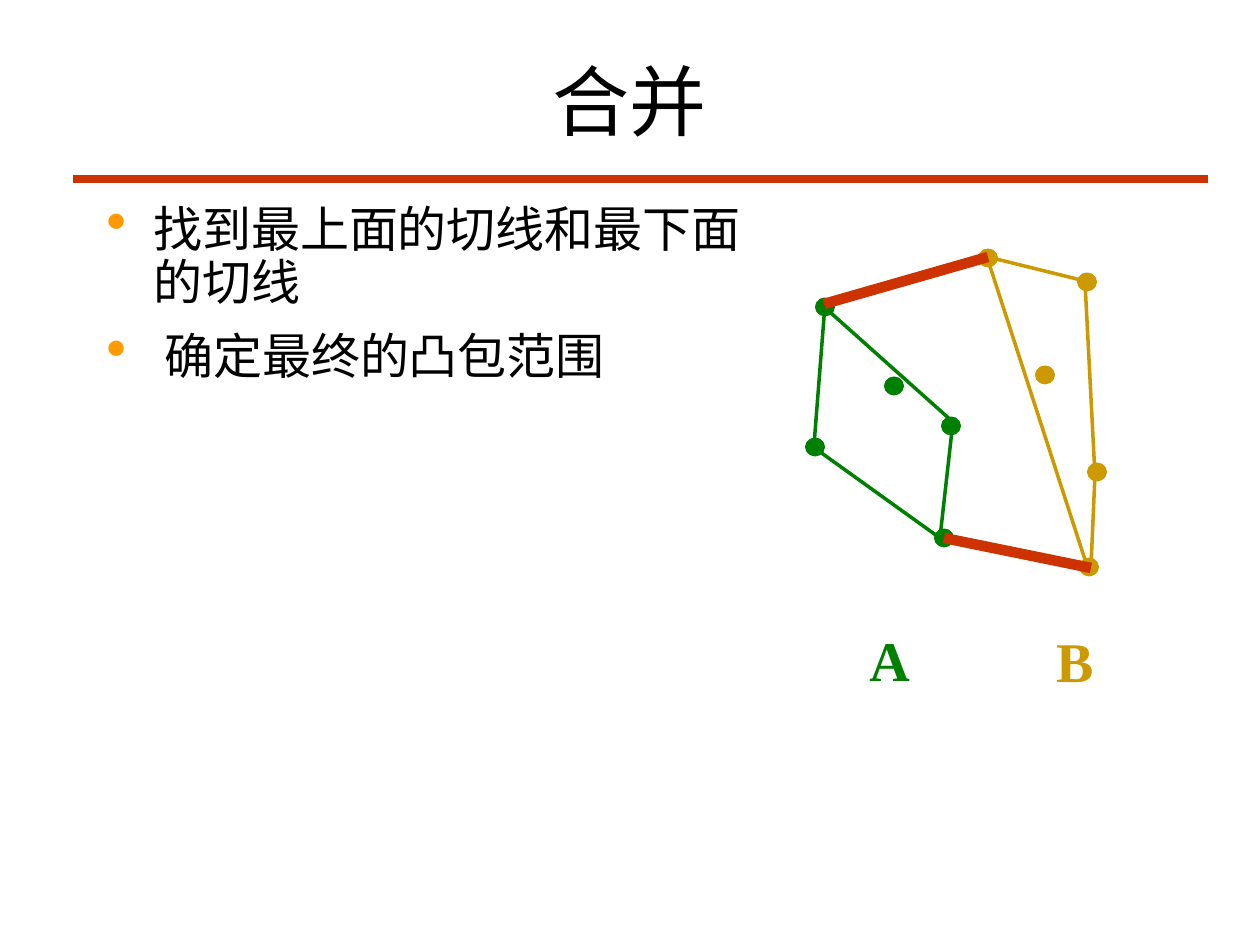
from dataclasses import dataclass

from lxml import etree
from pptx import Presentation
from pptx.dml.color import RGBColor
from pptx.enum import shapes, text
from pptx.oxml import ns
from pptx.util import Pt

SCALE = 914400 // 126  # EMU in one px


@dataclass(frozen=True)
class Theme:
    font: str = "Times New Roman"
    ink: str = "000000"
    accent: str = "CC3300"
    bullet: str = "FF9900"
    left_hull: str = "008000"
    right_hull: str = "CC9900"
    title_size: int = 44
    body_size: int = 28
    label_size: int = 32
    rule_width: float = 4.5
    dot_width: float = 2.25
    edge_width: float = 2
    tangent_width: float = 6


THEME = Theme()


def px(*lengths):
    return [length * SCALE for length in lengths]


def add_line(page, start, end, color, width):
    line = page.shapes.add_connector(
        shapes.MSO_CONNECTOR.STRAIGHT, *px(*start, *end))
    line.line.color.rgb = RGBColor.from_string(color)
    line.line.width = Pt(width)
    etree.SubElement(line._element.spPr, ns.qn("a:effectLst"))


def add_text_frame(page, box):
    frame = page.shapes.add_textbox(*px(*box)).text_frame
    frame.word_wrap = True
    return frame


def add_span(para, words, size, color, bold=False):
    span = para.add_run()
    span.text = words
    span.font.name = THEME.font
    span.font.size = Pt(size)
    span.font.bold = bold
    span.font.color.rgb = RGBColor.from_string(color)


def add_bullet(para, indent):
    props = para._p.get_or_add_pPr()
    props.set("marL", str(indent * SCALE))
    props.set("indent", str(-indent * SCALE))
    color = etree.SubElement(props, ns.qn("a:buClr"))
    etree.SubElement(color, ns.qn("a:srgbClr"), val=THEME.bullet)
    etree.SubElement(props, ns.qn("a:buSzPct"), val="120000")
    etree.SubElement(props, ns.qn("a:buChar"), char="•")


def title_region(page, box, words):
    left, top, width, height = box
    # Rule under the title
    rule_y = top + height
    add_line(page, (left - 21, rule_y), (left + width + 42, rule_y),
             THEME.accent, THEME.rule_width)
    # Title
    frame = add_text_frame(page, box)
    frame.vertical_anchor = text.MSO_ANCHOR.MIDDLE
    para = frame.paragraphs[0]
    para.alignment = text.PP_ALIGN.CENTER
    add_span(para, words, THEME.title_size, THEME.ink)


def body_region(page, box, items):
    frame = add_text_frame(page, box)
    for index, words in enumerate(items):
        para = frame.add_paragraph() if index else frame.paragraphs[0]
        add_bullet(para, 47)
        para.line_spacing = 0.9
        para.space_before = Pt(12 if index else 0)
        add_span(para, words, THEME.body_size, THEME.ink)


def hull_region(page, box, hulls, tangents):
    left, top = box[:2]

    def place(point):
        return left + point[0], top + point[1]

    # Points of both sets
    dot_width, dot_height = 16, 15
    for color, dots, edges, label, label_at in hulls:
        for dot in dots:
            x, y = place(dot)
            oval = page.shapes.add_shape(
                shapes.MSO_SHAPE.OVAL,
                *px(x - dot_width / 2, y - dot_height / 2),
                *px(dot_width, dot_height))
            oval.shadow.inherit = False
            oval.fill.solid()
            oval.fill.fore_color.rgb = RGBColor.from_string(color)
            oval.line.color.rgb = RGBColor.from_string(color)
            oval.line.width = Pt(THEME.dot_width)

    # Hull edges and set names
    for color, dots, edges, label, label_at in hulls:
        for start, end in edges:
            add_line(page, place(start), place(end), color, THEME.edge_width)
        frame = add_text_frame(page, (*place(label_at), 64, 79))
        frame.margin_top, frame.margin_bottom = px(12, 0)
        para = frame.paragraphs[0]
        para.alignment = text.PP_ALIGN.CENTER
        add_span(para, label, THEME.label_size, color, bold=True)

    # Upper and lower tangents
    for start, end in tangents:
        add_line(page, place(start), place(end),
                 THEME.accent, THEME.tangent_width)


def main():
    deck = Presentation()
    deck.slide_width, deck.slide_height = px(1260, 945)
    page = deck.slides.add_slide(deck.slide_layouts[6])

    title_region(page, (94, 21, 1072, 158), "合并")
    body_region(page, (94, 199, 672, 640),
                ["找到最上面的切线和最下面的切线", " 确定最终的凸包范围"])

    # Each hull: colour, points, edges, name, place of the name
    left_hull = (
        THEME.left_hull,
        [(25, 67), (15, 207), (144, 298), (94, 146), (151, 186)],
        [((25, 65), (14, 206)), ((16, 209), (140, 298)),
         ((140, 298), (153, 182)), ((153, 182), (22, 65))],
        "A", (57, 374))
    right_hull = (
        THEME.right_hull,
        [(188, 18), (245, 135), (287, 42), (297, 232), (289, 327)],
        [((188, 20), (289, 332)), ((291, 328), (295, 235)),
         ((295, 235), (285, 41)), ((285, 41), (188, 17))],
        "B", (243, 375))
    tangents = [((24, 64), (188, 17)), ((144, 298), (291, 328))]
    hull_region(page, (800, 240, 310, 454), [left_hull, right_hull], tangents)

    deck.save("out.pptx")


if __name__ == "__main__":
    main()
